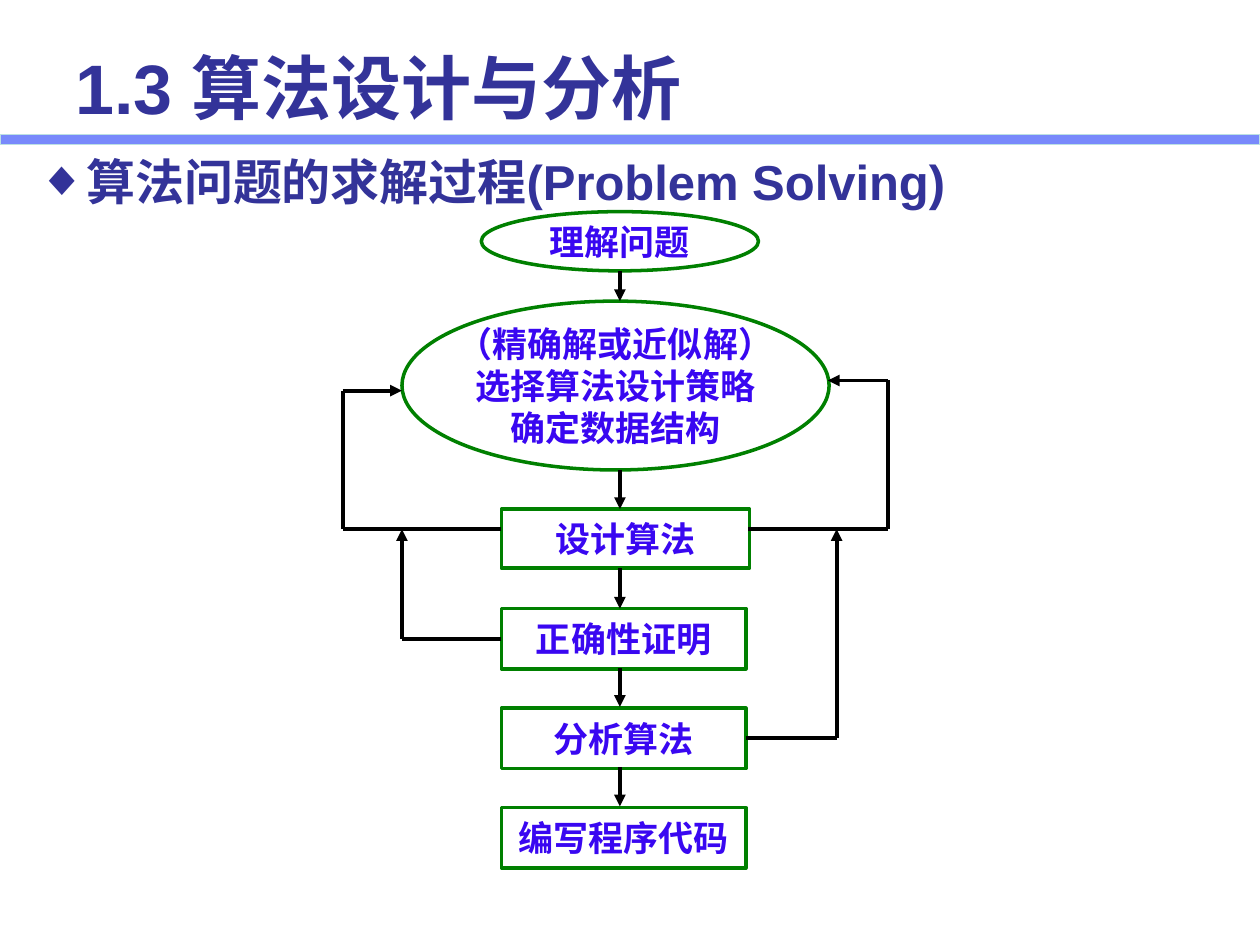
from pptx import Presentation
from pptx.dml.color import RGBColor
from pptx.enum.shapes import MSO_CONNECTOR as CONN, MSO_SHAPE as SHAPE
from pptx.enum.text import MSO_ANCHOR as ANCHOR, PP_ALIGN as ALIGN
from pptx.oxml.ns import qn
from pptx.util import Inches, Pt
from lxml.etree import SubElement

COLORS = {
    "heading": "333399", "label": "3907F1", "outline": "008000",
    "paper": "FFFFFF", "arrow": "000000", "bar": "7889FB", "bar_edge": "BBE0E3",
}
TOP, LEFT, BOTTOM, RIGHT = range(4)


def rgb(name):
    return RGBColor.from_string(COLORS[name])


def write(tf, text, size=20, color="label", align=ALIGN.LEFT,
          anchor=ANCHOR.MIDDLE, wrap=True, bullet=None, indent=0):
    tf.word_wrap = wrap
    tf.vertical_anchor = anchor
    for i, line in enumerate(text.split("\n")):
        p = tf.add_paragraph() if i else tf.paragraphs[0]
        p.alignment = align
        if bullet:
            ppr = p._p.get_or_add_pPr()
            ppr.set("marL", str(Inches(indent)))
            ppr.set("indent", str(-Inches(indent)))
            clr = SubElement(ppr, qn("a:buClr"))
            SubElement(clr, qn("a:srgbClr"), val=COLORS[color])
            SubElement(ppr, qn("a:buFont"), typeface="Arial")
            SubElement(ppr, qn("a:buChar"), char=bullet)
        r = p.add_run()
        r.text = line
        r.font.name = "Arial"
        r.font.size = Pt(size)
        r.font.bold = True
        r.font.color.rgb = rgb(color)


class FlowSlide:
    def __init__(self, prs):
        self.s = prs.slides.add_slide(prs.slide_layouts[6])

    def text(self, text, x, y, w, h, **style):
        sp = self.s.shapes.add_textbox(Inches(x), Inches(y), Inches(w), Inches(h))
        write(sp.text_frame, text, **style)

    def shape(self, kind, x, y, w, h, fill="paper", line="outline", width=2):
        sp = self.s.shapes.add_shape(kind, Inches(x), Inches(y), Inches(w), Inches(h))
        sp.shadow.inherit = False
        sp.fill.solid()
        sp.fill.fore_color.rgb = rgb(fill)
        sp.line.color.rgb = rgb(line)
        sp.line.width = Pt(width)
        return sp

    def node(self, text, kind, x, y, w, h):
        sp = self.shape(kind, x, y, w, h)
        write(sp.text_frame, text, align=ALIGN.CENTER, wrap=False)
        return sp

    def line(self, start, end, arrow=False, begin=None):
        c = self.s.shapes.add_connector(CONN.STRAIGHT, *map(Inches, start + end))
        c.line.color.rgb = rgb("arrow")
        c.line.width = Pt(2.25)
        if arrow:
            SubElement(c.line._get_or_add_ln(), qn("a:tailEnd"), type="triangle")
        SubElement(c._element.spPr, qn("a:effectLst"))
        if begin:
            c.begin_connect(*begin)

    def route(self, *points, arrow=True, begin=None):
        legs = list(zip(points, points[1:]))
        for i, (start, end) in enumerate(legs):
            self.line(start, end, arrow and i == len(legs) - 1,
                      None if i else begin)


def main():
    prs = Presentation()
    prs.slide_width, prs.slide_height = Inches(10), Inches(7.5)
    flow = FlowSlide(prs)

    flow.shape(SHAPE.RECTANGLE, 0, 1.07, 10, 0.08, "bar", "bar_edge", 0.75)
    flow.text("1.3 算法设计与分析", 0.5, 0.3, 9, 0.77, size=40, color="heading")
    flow.text("算法问题的求解过程(Problem Solving)", 0.2, 1.15, 9.61, 5.36,
              size=28, color="heading", anchor=ANCHOR.TOP, bullet="◆", indent=0.38)

    flow.node("理解问题", SHAPE.OVAL, 3.82, 1.68, 2.2, 0.47)
    flow.node("（精确解或近似解）\n选择算法设计策略\n确定数据结构",
              SHAPE.OVAL, 3.19, 2.39, 3.39, 1.34)
    flow.node("设计算法", SHAPE.RECTANGLE, 3.98, 4.04, 1.97, 0.47)
    proof, analysis, coding = [
        flow.node(text, SHAPE.RECTANGLE, 3.98, 4.83 + 0.79 * i, 1.94, 0.48)
        for i, text in enumerate(("正确性证明", "分析算法", "编写程序代码"))
    ]

    for y1, y2 in ((2.15, 2.39), (3.73, 4.04), (4.51, 4.83), (5.3, 5.61), (6.09, 6.4)):
        flow.line((4.92, y1), (4.92, y2), arrow=True)

    flow.route((3.98, 4.2), (2.72, 4.2), (2.72, 3.1), (3.19, 3.1))
    flow.route((5.94, 4.2), (7.05, 4.2), (7.05, 3.02), (6.57, 3.02))
    flow.route((3.98, 5.07), (3.19, 5.07), (3.19, 4.2), begin=(proof, LEFT))
    flow.route((5.92, 5.86), (6.64, 5.86), (6.64, 4.2), begin=(analysis, RIGHT))

    prs.save("out.pptx")


if __name__ == "__main__":
    main()
